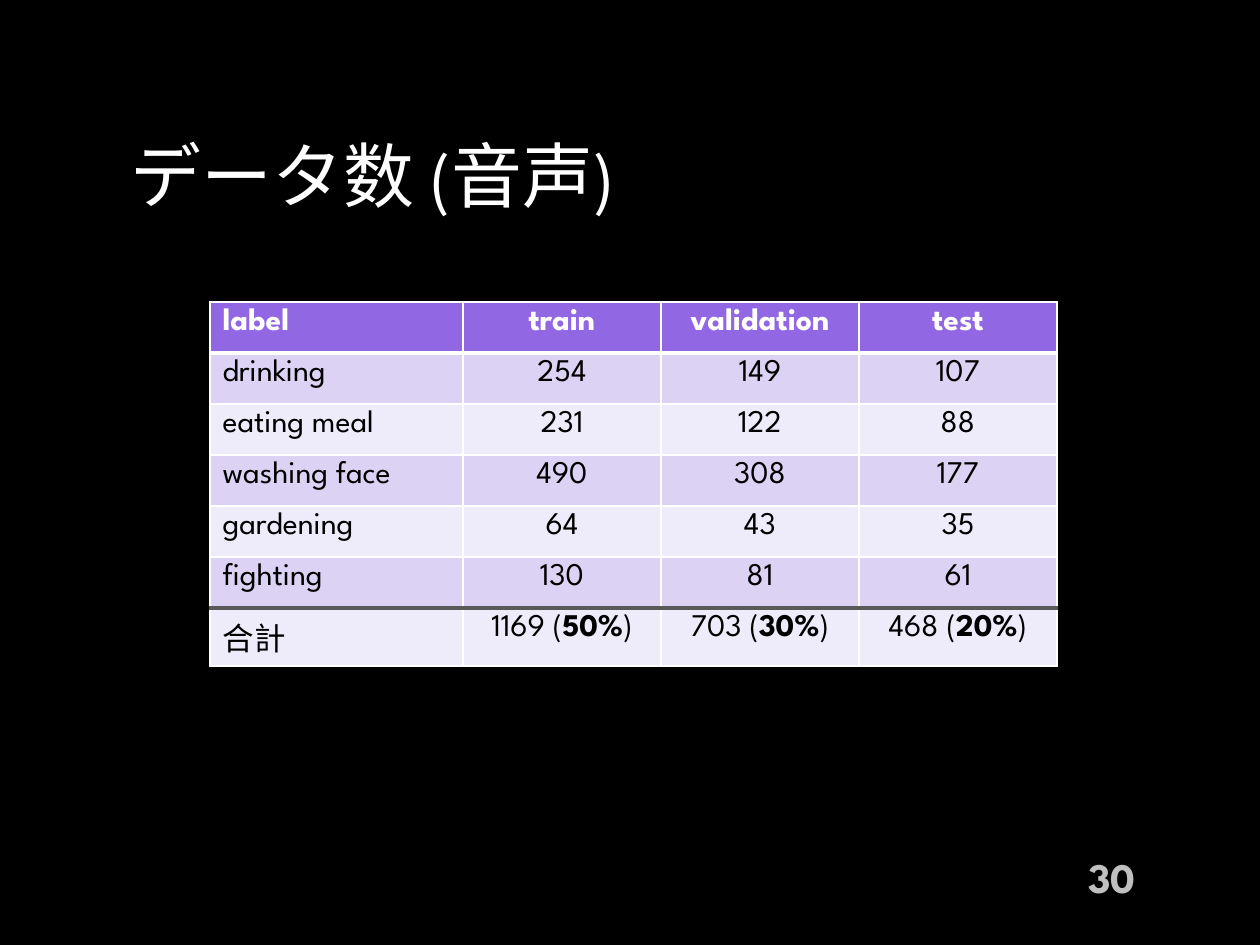
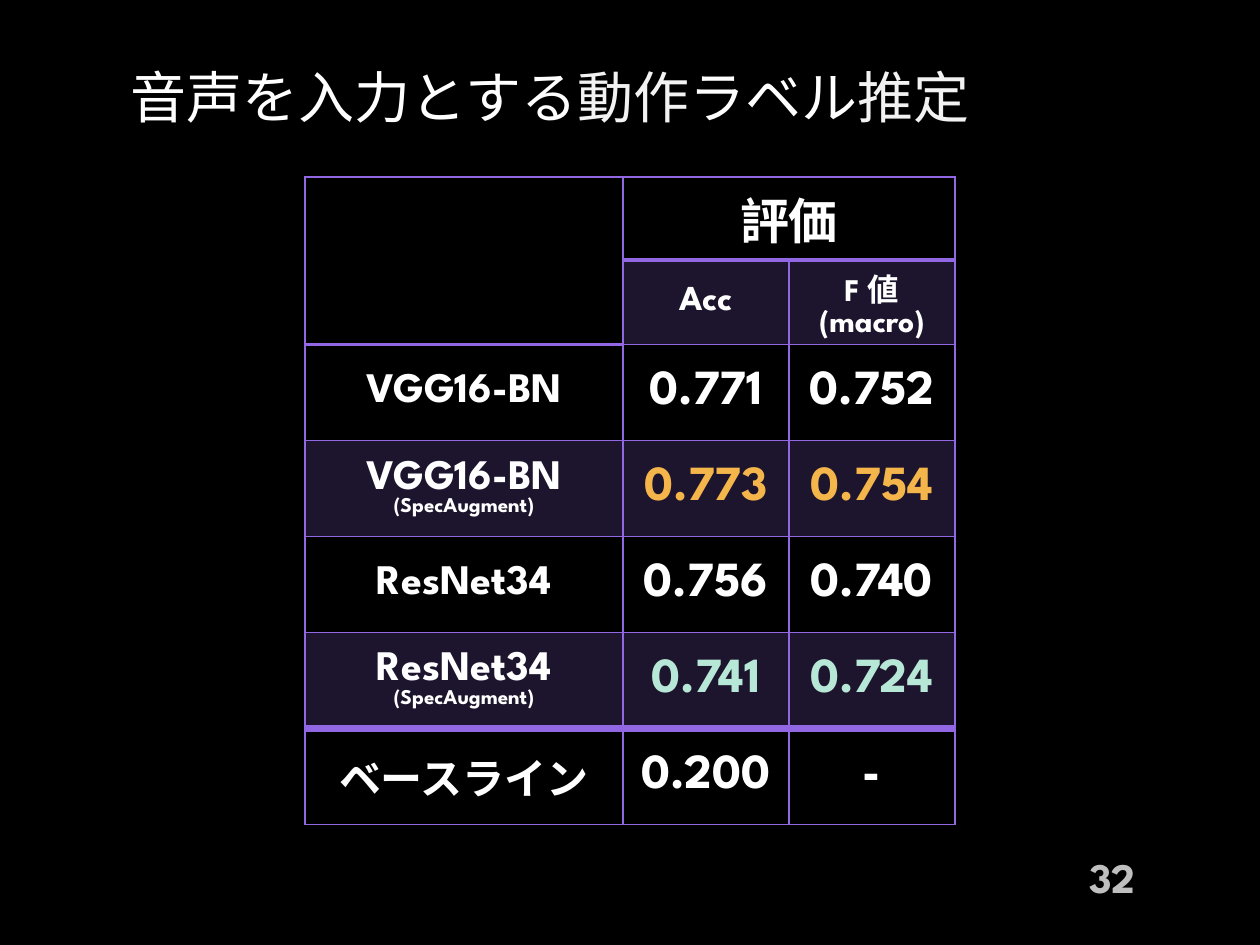
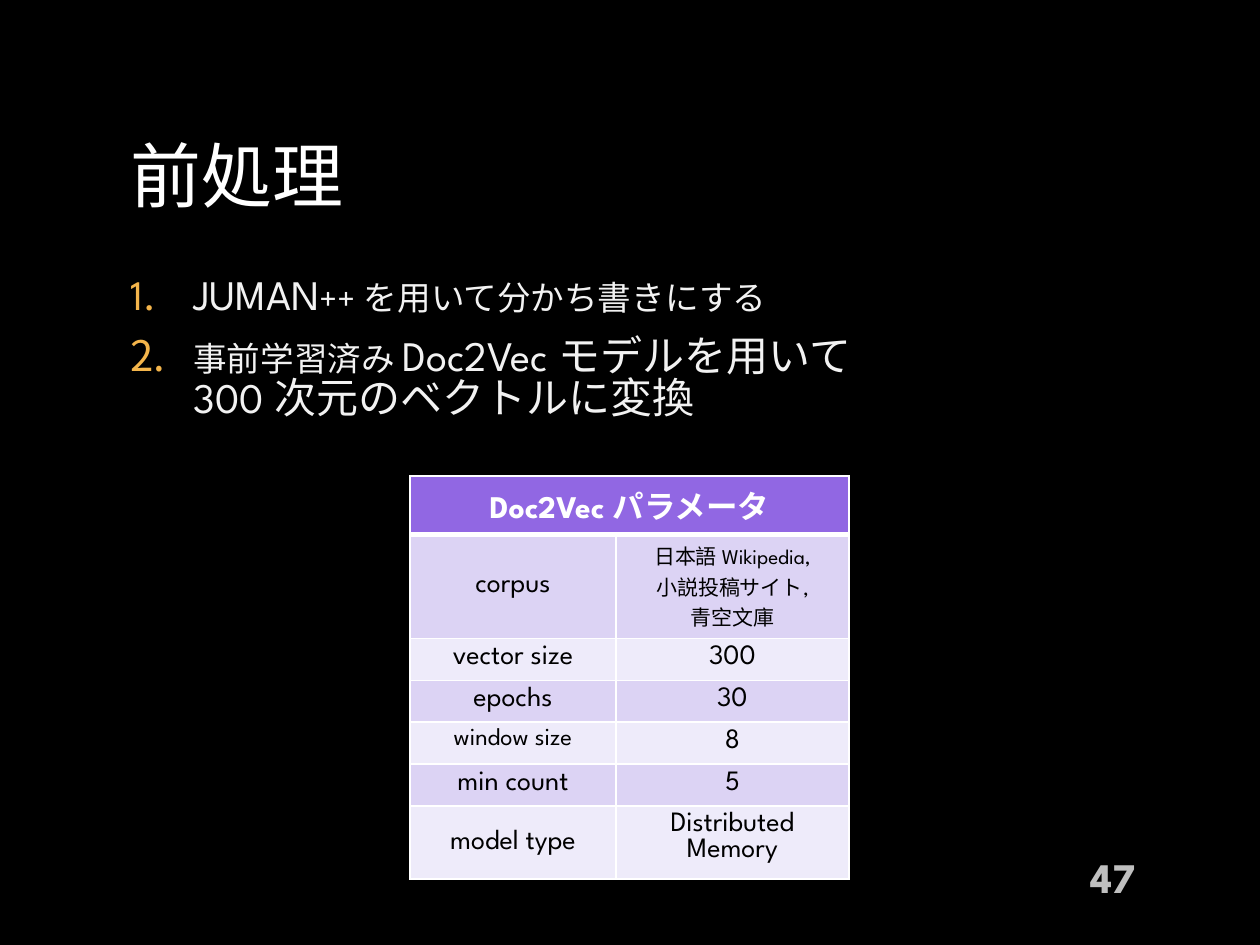
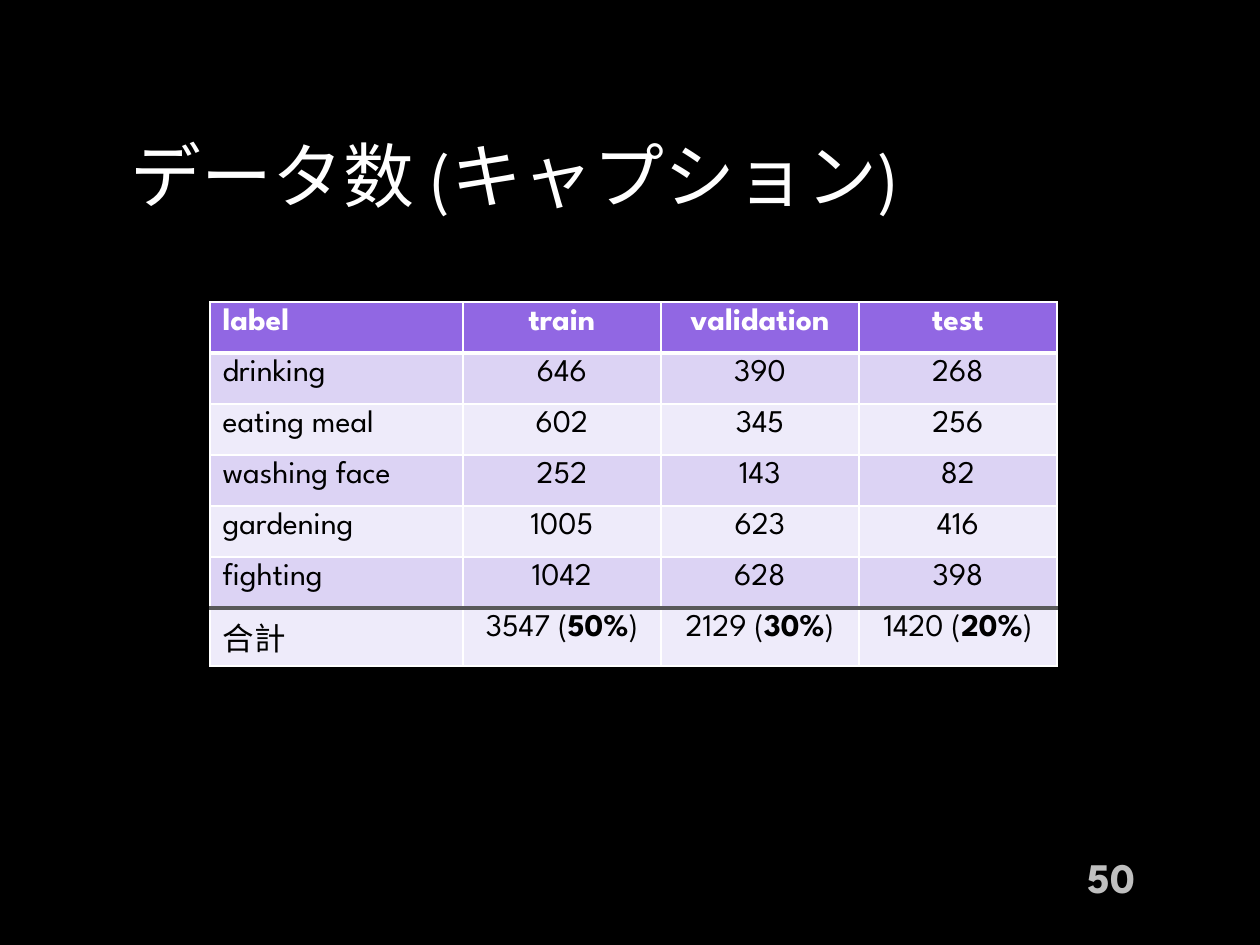
"""Builds four dark slides on data counts, audio results and text preprocessing."""
from itertools import product

from lxml import etree
from pptx import Presentation
from pptx import util as u
from pptx.dml.color import RGBColor
from pptx.enum import text
from pptx.oxml import ns

SCALE = 914400 / 126
FONT = "League Spartan"
COLORS = {
    "black": "000000", "white": "FFFFFF", "soft": "F2F2F2", "number": "BFBFBF",
    "purple": "9167E3", "dark band": "DCD3F4", "light band": "EEEBFA",
    "total line": "595959", "amber": "F4B54B", "mint": "B7E7D6",
}
CENTER, LEFT, RIGHT = text.PP_ALIGN.CENTER, text.PP_ALIGN.LEFT, text.PP_ALIGN.RIGHT
MIDDLE, TOP = text.MSO_ANCHOR.MIDDLE, text.MSO_ANCHOR.TOP
BANDS = ["purple"] + ["dark band", "light band"] * 3
HEADER = {"color": "white", "bold": True}


def px(length):
    return u.Emu(round(length * SCALE))


def rgb(name):
    return RGBColor.from_string(COLORS[name])


def add_color(parent, name):
    etree.SubElement(parent, ns.qn("a:srgbClr"), val=COLORS[name])


class Slides:
    def __init__(self):
        self.deck = Presentation()
        self.deck.slide_width, self.deck.slide_height = px(1260), px(945)
        fill = self.deck.slide_master.background.fill
        fill.solid()
        fill.fore_color.rgb = rgb("black")
        self.page = None

    def start(self, number, title, top=118, size=40.5):
        self.page = self.deck.slides.add_slide(self.deck.slide_layouts[5])
        box = self.page.shapes.title
        box.left, box.top, box.width, box.height = map(px, (118, top, 1023, 113))
        self.frame(box.text_frame, MIDDLE)
        self.add_text(box.text_frame, [title], LEFT, size=size, color="white")
        frame = self.box(984, 852, 164, 50, MIDDLE)
        self.add_text(frame, [[(number, {})]], RIGHT, size=24, color="number", bold=True)

    def frame(self, frame, anchor):
        frame.word_wrap = True
        frame.auto_size = text.MSO_AUTO_SIZE.NONE
        frame.vertical_anchor = anchor

    def box(self, left, top, width, height, anchor=TOP):
        box = self.page.shapes.add_textbox(*map(px, (left, top, width, height)))
        self.frame(box.text_frame, anchor)
        return box.text_frame

    def add_text(self, frame, paras, align, **base):
        for index, spans in enumerate(paras):
            para = frame.add_paragraph() if index else frame.paragraphs[0]
            para.alignment = align
            for words, changes in spans:
                self.span(para, words, **{**base, **changes})

    def span(self, para, words, size, color, bold=False, small=False):
        for index, line in enumerate(words.split("\n")):
            if index:
                para.add_line_break()
            span = para.add_run()
            span.text = line
            span.font.name = FONT
            span.font.size = u.Pt(size)
            span.font.bold = bold
            span.font.color.rgb = rgb(color)
            if small:
                span.font._element.set("cap", "small")

    def numbered(self, left, top, width, height, paras):
        frame = self.box(left, top, width, height)
        self.add_text(frame, paras, LEFT, size=24, color="soft")
        for index, para in enumerate(frame.paragraphs):
            para.line_spacing = 0.83
            para.space_after = u.Pt(6)
            if index:
                para.space_before = u.Pt(5)
            props = para._p.get_or_add_pPr()
            props.set("marL", str(px(63)))
            props.set("indent", str(px(-63)))
            add_color(etree.SubElement(props, ns.qn("a:buClr")), "amber")
            etree.SubElement(props, ns.qn("a:buAutoNum"), type="arabicPeriod")

    def table(self, left, top, columns, heights, rows, fills, line, base,
              heavy, header=None, middle=(), merges=(), left_column=False, insets=None):
        area = map(px, (left, top, sum(columns), sum(heights)))
        table = self.page.shapes.add_table(len(rows), len(columns), *area).table
        table.first_row = table.horz_banding = False
        for column, width in zip(table.columns, columns):
            column.width = px(width)
        for row, height in zip(table.rows, heights):
            row.height = px(height)
        for first, last in merges:
            table.cell(*first).merge(table.cell(*last))
        for r, c in product(range(len(rows)), range(len(columns))):
            cell, paras = table.cell(r, c), rows[r][c]
            if insets:
                cell.margin_left = cell.margin_right = px(insets[0])
                cell.margin_top = cell.margin_bottom = px(insets[1])
            cell.vertical_anchor = MIDDLE if (r, c) in middle else TOP
            self.borders(cell, line, heavy.get(r), heavy.get(r + 1))
            self.fill(cell, None if paras is None else fills[r])
            if paras:
                if isinstance(paras, str):
                    paras = [[(paras, {})]]
                style = {**base, **(header or {})} if r == 0 else base
                align = LEFT if left_column and c == 0 else CENTER
                self.add_text(cell.text_frame, paras, align, **style)

    def borders(self, cell, line, above, below):
        thin = (line, 1)
        edges = {"lnL": thin, "lnR": thin, "lnT": above or thin, "lnB": below or thin}
        props = cell._tc.get_or_add_tcPr()
        for tag, (color, width) in edges.items():
            edge = etree.SubElement(props, ns.qn("a:" + tag), w=str(u.Pt(width)))
            add_color(etree.SubElement(edge, ns.qn("a:solidFill")), color)

    def fill(self, cell, name):
        if name is None:
            cell.fill.background()
            return
        cell.fill.solid()
        cell.fill.fore_color.rgb = rgb("purple" if name == "tint" else name)
        if name == "tint":
            color = cell._tc.tcPr.find(ns.qn("a:solidFill"))[0]
            etree.SubElement(color, ns.qn("a:alpha"), val="20000")

    def counts(self, number, subject, data, totals):
        self.start(number, [(f"データ数 ({subject})", {})])
        labels = ["drinking", "eating meal", "washing face", "gardening", "fighting"]
        rows = [["label", "train", "validation", "test"]]
        rows += [[label, *map(str, values)] for label, values in zip(labels, data)]
        shares = zip(totals, ("50%", "30%", "20%"))
        rows.append(["合計"] + [
            [[(f"{total} (", {}), (share, {"bold": True}), (")", {})]]
            for total, share in shares])
        self.table(210, 302, [253, 198, 198, 198], [51] * 7, rows, BANDS, "white",
                   {"size": 18, "color": "black"},
                   {1: ("white", 3), 6: ("total line", 3)}, HEADER, left_column=True)


def model_row(name, accuracy, score, color="white", augmented=False):
    label = [[(name, {"size": 24})]]
    if augmented:
        label.append([("(SpecAugment)", {"size": 12})])
    return [label] + [[[(value, {"color": color})]] for value in (accuracy, score)]


def results(slides):
    slides.start("32", [("音声を入力とする", {}), ("動作", {"color": "soft"}),
                        ("ラベル", {}), ("推定", {"color": "soft"})], 40, 32)
    rows = [
        ["", "評価", None],
        [None, [[("Acc", {"size": 20})]], [[("F 値 (macro)", {"size": 18})]]],
        model_row("VGG16-BN", "0.771", "0.752"),
        model_row("VGG16-BN", "0.773", "0.754", "amber", True),
        model_row("ResNet34", "0.756", "0.740"),
        model_row("ResNet34", "0.741", "0.724", "mint", True),
        model_row("ベースライン", "0.200", "-"),
    ]
    slides.table(305, 177, [318, 166, 166], [83, 84] + [96] * 5, rows,
                 [None, "tint"] * 3 + [None], "purple", {"size": 28, **HEADER},
                 {1: ("purple", 2), 6: ("purple", 4)},
                 middle=set(product(range(7), range(3))),
                 merges=[((0, 0), (1, 0)), ((0, 1), (0, 2))], insets=(9, 5))


def preprocessing(slides):
    slides.start("47", [("前処理", {})])
    slides.numbered(118, 271, 1023, 202, [
        [("JUMAN++ を用いて分かち書きにする", {"small": True})],
        [("事前学習済み ", {"small": True}),
         ("Doc2Vec モデルを用いて\n300 次元のベクトルに変換", {})],
    ])
    sources = ["日本語 Wikipedia,", "小説投稿サイト,", "青空文庫"]
    rows = [
        [[[("Doc2Vec パラメータ", {"size": 18})]], None],
        ["corpus", [[(source, {"size": 12})] for source in sources]],
        ["vector size", "300"],
        ["epochs", "30"],
        [[[("window size", {"size": 14})]], "8"],
        ["min count", "5"],
        ["model type", "Distributed Memory"],
    ]
    slides.table(410, 476, [206, 233], [42, 83] + [42] * 4 + [73], rows, BANDS, "white",
                 {"size": 16, "color": "black"}, {1: ("white", 3)}, HEADER,
                 middle={(1, 0), (6, 0)}, merges=[((0, 0), (0, 1))])


def main():
    slides = Slides()
    slides.counts("30", "音声", [(254, 149, 107), (231, 122, 88), (490, 308, 177),
                               (64, 43, 35), (130, 81, 61)], (1169, 703, 468))
    results(slides)
    preprocessing(slides)
    slides.counts("50", "キャプション", [(646, 390, 268), (602, 345, 256), (252, 143, 82),
                                   (1005, 623, 416), (1042, 628, 398)], (3547, 2129, 1420))
    slides.deck.save("out.pptx")


if __name__ == "__main__":
    main()
